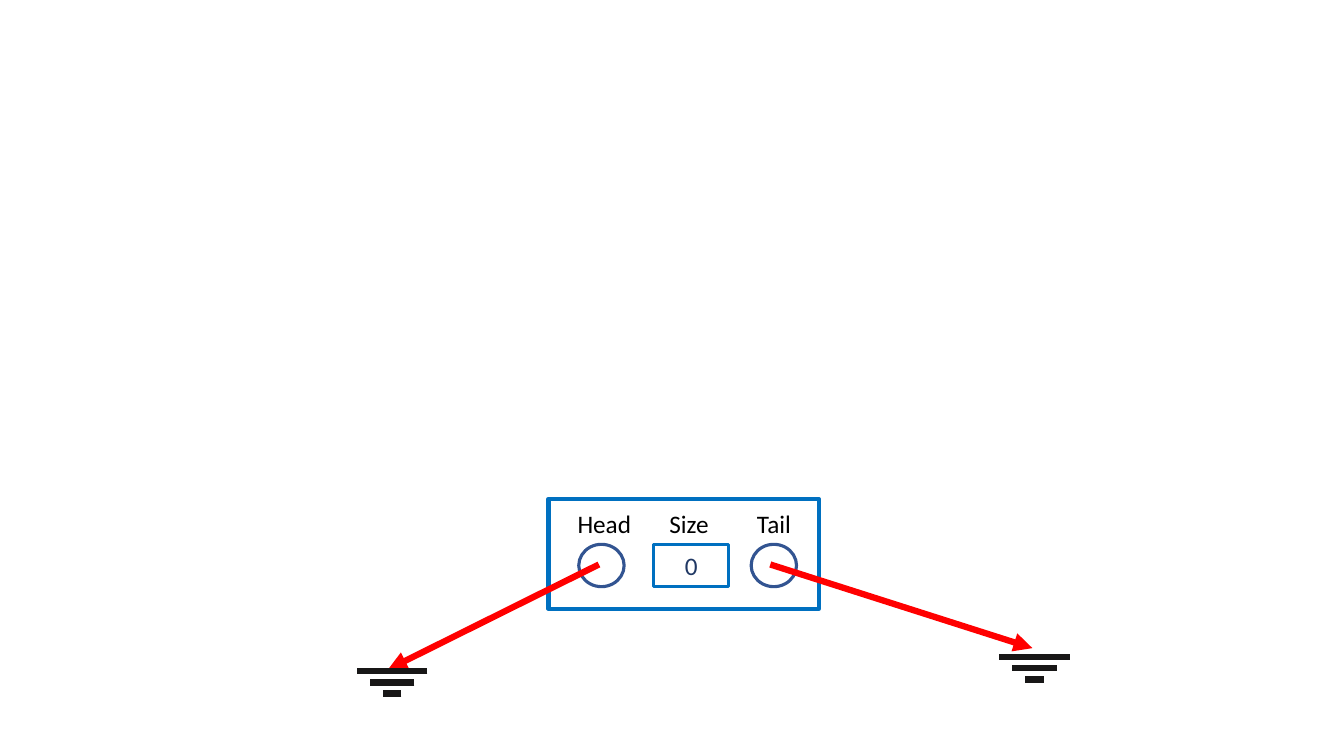
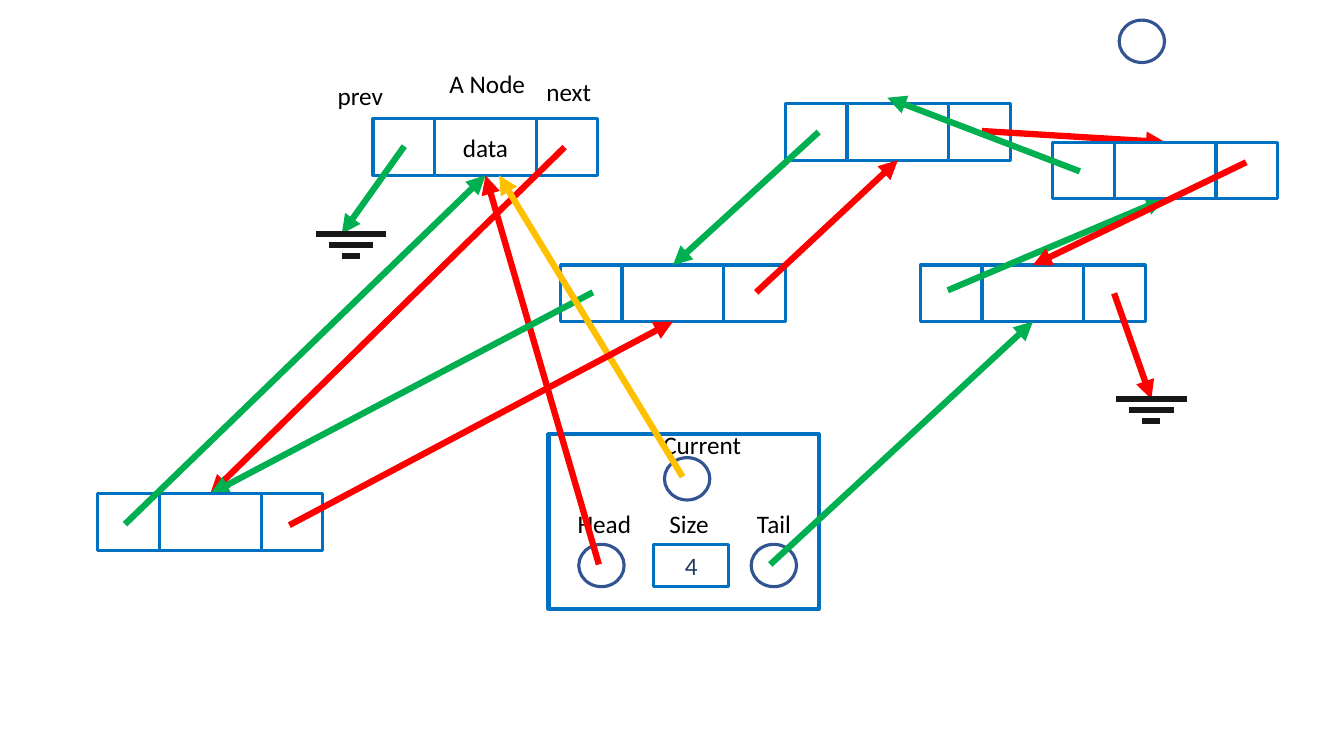
import pptx
import pptx.util
import pptx.dml.color
import pptx.enum.shapes
import pptx.enum.text
import pptx.oxml.ns
import lxml.etree

PX = 9144
RECT = pptx.enum.shapes.MSO_SHAPE.RECTANGLE
OVAL = pptx.enum.shapes.MSO_SHAPE.OVAL
STRAIGHT = pptx.enum.shapes.MSO_CONNECTOR.STRAIGHT
FIT = pptx.enum.text.MSO_AUTO_SIZE.SHAPE_TO_FIT_TEXT
MIDDLE = pptx.enum.text.MSO_ANCHOR.MIDDLE
CENTER = pptx.enum.text.PP_ALIGN.CENTER

WHITE, BLACK, INK = "FFFFFF", "000000", "181717"
BLUE, NAVY, DEEP = "0070C0", "325491", "203864"
RED, GREEN, GOLD = "FF0000", "00B050", "FFC000"
FONT, SIZE = "Calibri", 18
THICK = 4.5

TOP, BOTTOM = 0, 2
CELL, DATA, TALL = 61, 101, 56
NODES = {
    "first": (370, 118),
    "second": (97, 490),
    "third": (556, 263),
    "fourth": (779, 103),
    "fifth": (1044, 141),
    "last": (913, 263),
}
HEAD, TAIL = (594, 560), (764, 560)

# Links that pass beneath a node drawn later, and links that lie on top
LOWER = [
    (RED, HEAD, "first", BOTTOM),
    (GREEN, TAIL, "last", BOTTOM),
    (RED, (560, 146), "second", TOP),
    (RED, (750, 290), "fourth", BOTTOM),
    (GREEN, (940, 288), "fifth", BOTTOM),
    (GREEN, (812, 131), "third", TOP),
    (GREEN, (588, 290), "second", TOP),
    (RED, (974, 130), "fifth", TOP),
]
UPPER = [
    (RED, (1236, 161), "last", TOP),
    (RED, (287, 521), "third", BOTTOM),
    (GREEN, (124, 520), "first", BOTTOM),
]


def px(*sizes):
    return [pptx.util.Emu(size * PX) for size in sizes]


def color(code):
    return pptx.dml.color.RGBColor.from_string(code)


def write(para, text, hue):
    run = para.add_run()
    run.text = text
    run.font.name = FONT
    run.font.size = pptx.util.Pt(SIZE)
    run.font.color.rgb = color(hue)


def shape(slide, kind, place, hue, width=2.25, text="", ink=BLACK):
    item = slide.shapes.add_shape(kind, *px(*place))
    item.shadow.inherit = False
    item.fill.solid()
    item.fill.fore_color.rgb = color(WHITE)
    item.line.color.rgb = color(hue)
    item.line.width = pptx.util.Pt(width)
    if text:
        item.text_frame.vertical_anchor = MIDDLE
        para = item.text_frame.paragraphs[0]
        para.alignment = CENTER
        write(para, text, ink)
    return item


def ring(slide, left, top):
    shape(slide, OVAL, (left, top, 45, 42), NAVY)


def label(slide, text, left, top, width):
    frame = slide.shapes.add_textbox(*px(left, top, width, 40)).text_frame
    frame.word_wrap = False
    frame.auto_size = FIT
    write(frame.paragraphs[0], text, BLACK)


def line(slide, hue, start, end, arrow=True):
    item = slide.shapes.add_connector(STRAIGHT, *px(*start, *end))
    item.line.color.rgb = color(hue)
    item.line.width = pptx.util.Pt(THICK)
    props = item.element.spPr
    if arrow:
        tip = pptx.oxml.ns.qn("a:tailEnd")
        lxml.etree.SubElement(props.get_or_add_ln(), tip, type="triangle")
    lxml.etree.SubElement(props, pptx.oxml.ns.qn("a:effectLst"))
    return item


def ground(slide, mid, top):
    """Draw the null sign: three bars that shrink downwards."""
    for row, half in enumerate((35, 22, 9)):
        level = top + 11 * row
        line(slide, INK, (mid + half, level), (mid - half, level), arrow=False)


def node(slide, name, text=""):
    """Draw the prev, data and next cells; return the data cell."""
    left, top = NODES[name]
    cells = []
    for width, word in ((CELL, ""), (DATA, text), (CELL, "")):
        cells.append(shape(slide, RECT, (left, top, width, TALL), BLUE, text=word))
        left += width
    return cells[1]


def panel(slide, top, count):
    """Draw the list record with its head, size and tail fields."""
    shape(slide, RECT, (544, top, 268, 604 - top), BLUE, 3)
    ring(slide, 574, 540)
    ring(slide, 745, 540)
    shape(slide, RECT, (648, 540, 75, 42), BLUE, text=count, ink=DEEP)
    label(slide, "Head", 563, 499, 74)
    label(slide, "Tail", 741, 499, 54)
    label(slide, "Size", 654, 499, 60)


def aim(slide, hue, start, name, side):
    """Draw a link to the middle of a data cell's side, to be joined later."""
    left, top = NODES[name]
    end = (left + CELL + DATA // 2, top + (TALL if side == BOTTOM else 0))
    return line(slide, hue, start, end), name, side


def empty(slide):
    panel(slide, 495, "0")
    line(slide, RED, HEAD, (385, 664))
    line(slide, RED, TAIL, (1024, 643))
    ground(slide, 389, 666)
    ground(slide, 1026, 652)


def filled(slide):
    cells = {"first": node(slide, "first", "data")}
    for name in ("third", "fourth", "last"):
        cells[name] = node(slide, name)
    panel(slide, 431, "4")

    links = [aim(slide, *row) for row in LOWER]
    line(slide, RED, (1105, 291), (1142, 396))
    line(slide, GREEN, (401, 145), (339, 232))
    ground(slide, 348, 232)
    ground(slide, 1142, 396)
    label(slide, "A Node", 436, 63, 96)
    label(slide, "next", 532, 71, 65)
    label(slide, "prev", 325, 75, 66)

    cells["fifth"] = node(slide, "fifth")
    ring(slide, 1110, 20)
    line(slide, GREEN, (1071, 170), (880, 97))
    ring(slide, 659, 454)
    label(slide, "Current", 648, 421, 98)
    line(slide, GOLD, (677, 473), (495, 174))
    cells["second"] = node(slide, "second")
    links += [aim(slide, *row) for row in UPPER]
    for link, name, side in links:
        link.end_connect(cells[name], side)


def main():
    deck = pptx.Presentation()
    deck.slide_width, deck.slide_height = px(1333, 750)
    for draw in (empty, filled):
        draw(deck.slides.add_slide(deck.slide_layouts[6]))
    deck.save("out.pptx")


if __name__ == "__main__":
    main()
